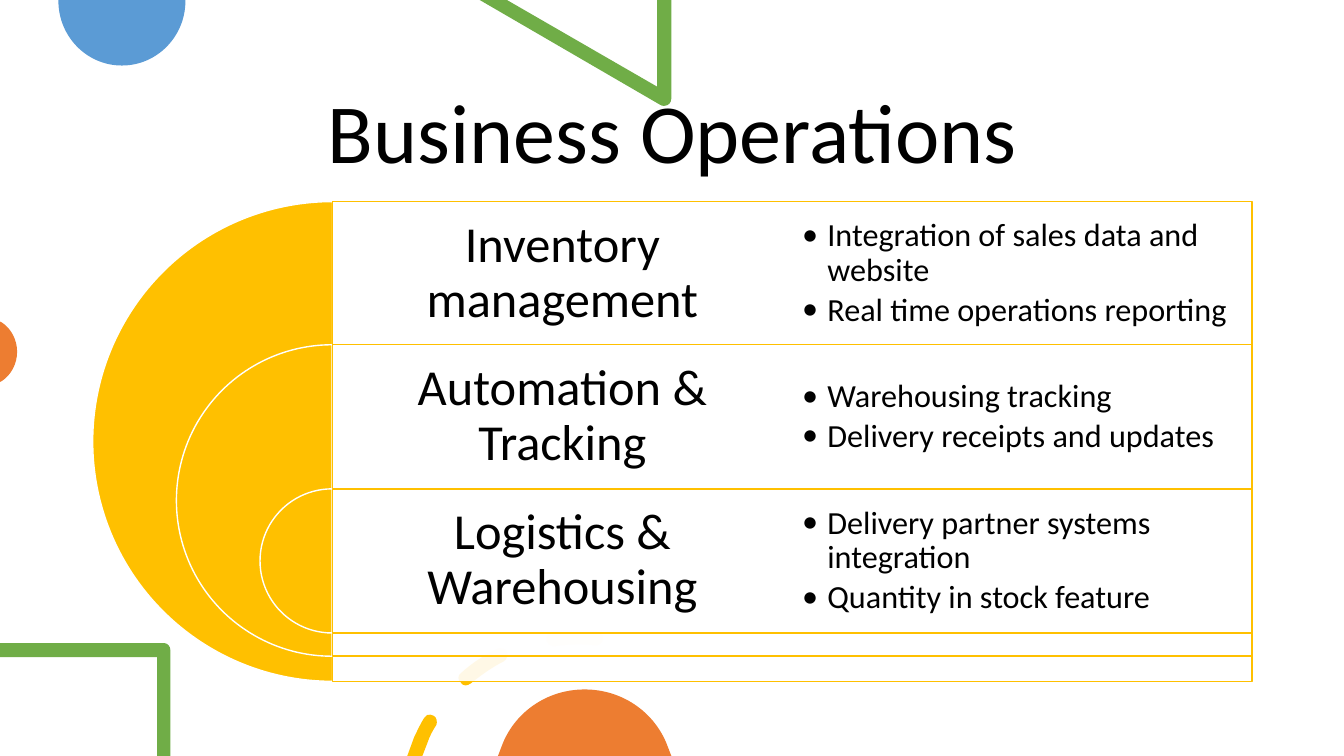
from lxml import etree
from pptx import Presentation
from pptx.dml.color import RGBColor
from pptx.enum.shapes import MSO_SHAPE
from pptx.enum.text import MSO_ANCHOR, PP_ALIGN
from pptx.oxml.ns import qn
from pptx.util import Pt

PX = 9144
BLACK = RGBColor(0x00, 0x00, 0x00)
WHITE = RGBColor(0xFF, 0xFF, 0xFF)
BLUE = RGBColor(0x5B, 0x9B, 0xD5)
GREEN = RGBColor(0x70, 0xAD, 0x47)
ORANGE = RGBColor(0xED, 0x7D, 0x31)
GOLD = RGBColor(0xFF, 0xC0, 0x00)
PIE, RECTANGLE = MSO_SHAPE.PIE, MSO_SHAPE.RECTANGLE
MIDDLE, BOTTOM = MSO_ANCHOR.MIDDLE, MSO_ANCHOR.BOTTOM
CENTER, LEFT = PP_ALIGN.CENTER, PP_ALIGN.LEFT

prs = Presentation()
prs.slide_width, prs.slide_height = Pt(960), Pt(540)
slide = prs.slides.add_slide(prs.slide_layouts[6])
shapes = slide.shapes


def add_outline(contours, color):
    builder = shapes.build_freeform(*contours[0][0], scale=PX)
    segments = []
    for i, (start, *steps) in enumerate(contours):
        if i:
            builder.move_to(*start)
        segments += steps
        builder.add_line_segments(
            [step[n:n + 2] for step in steps for n in range(0, len(step), 2)], close=True)
    outline = builder.convert_to_shape()
    straight = iter(list(outline._element.iter(qn("a:lnTo"))))
    for segment in segments:
        first = next(straight)
        if len(segment) == 6:
            curve = etree.Element(qn("a:cubicBezTo"))
            first.addprevious(curve)
            for line in (first, next(straight), next(straight)):
                curve.append(line[0])
                line.getparent().remove(line)
    outline.shadow.inherit = False
    outline.fill.solid()
    outline.fill.fore_color.rgb = color
    outline.line.fill.background()


def add_text(box, lines, size, anchor, align, insets, gap):
    frame = shapes.add_textbox(*(n * PX for n in box)).text_frame
    frame.word_wrap = True
    frame.vertical_anchor = anchor
    frame.margin_left = frame.margin_right = insets[0] * PX
    frame.margin_top = frame.margin_bottom = insets[1] * PX
    frame.text = "\n".join(lines)
    for paragraph in frame.paragraphs:
        paragraph.alignment = align
        paragraph.line_spacing = 0.9
        paragraph.space_after = Pt(gap)
        paragraph.font.name = "Calibri"
        paragraph.font.size = Pt(size)
        paragraph.font.color.rgb = BLACK
    return frame


decorations = [
    (BLUE, [[(184, 0), (58, 0), (58, 1), (58, 36, 86, 65, 121, 65), (156, 65, 184, 36, 184, 1)]]),
    (GREEN, [[(666, 0), (652, 0), (652, 86), (503, 0), (476, 0), (655, 104),
              (656, 105, 658, 105, 659, 105), (663, 105, 666, 102, 666, 98)]]),
    (ORANGE, [[(0, 319), (0, 379), (2, 378), (11, 372, 17, 361, 17, 349),
               (17, 337, 11, 326, 2, 320)]]),
    (GREEN, [[(163, 638), (0, 638), (0, 652), (156, 652), (156, 750), (169, 750),
              (169, 645), (169, 641, 166, 638, 163, 638)]]),
    (GOLD, [
        [(427, 709), (425, 708, 422, 710, 421, 712), (417, 718, 414, 725, 411, 731),
         (404, 750), (419, 750), (424, 737), (426, 731, 429, 725, 433, 719),
         (434, 716, 433, 711, 430, 710), (429, 709, 428, 709, 427, 709)],
        [(496, 643), (495, 643, 494, 643, 493, 644), (480, 650, 468, 658, 457, 668),
         (454, 670, 454, 675, 457, 677), (458, 679, 460, 680, 462, 680),
         (464, 680, 465, 679, 467, 678), (477, 670, 488, 662, 500, 656),
         (503, 654, 504, 650, 503, 647), (501, 644, 499, 643, 496, 643)],
        [(570, 625), (563, 625, 556, 626, 548, 627), (545, 627, 542, 631, 542, 635),
         (543, 638, 546, 641, 549, 641), (550, 641), (564, 639, 577, 639, 590, 640),
         (594, 641, 597, 638, 598, 635), (599, 631, 596, 627, 592, 627),
         (585, 626, 577, 625, 570, 625)],
    ]),
    (ORANGE, [[(580, 684), (543, 684, 512, 706, 499, 737), (494, 750), (666, 750),
               (661, 737), (648, 706, 617, 684, 580, 684)]]),
]
for color, contours in decorations:
    add_outline(contours, color)

add_text((92, 40, 1150, 145), ["Business Operations"], 60, BOTTOM, CENTER, (10, 5), 0)

operations = [
    (476, "Inventory management",
     ["Integration of sales data and website", "Real time operations reporting"]),
    (309, "Automation & Tracking",
     ["Warehousing tracking", "Delivery receipts and updates"]),
    (143, "Logistics & Warehousing",
     ["Delivery partner systems integration", "Quantity in stock feature"]),
]
axis, column, row = 330, 456, 143
tops = [200 + 285 * i // 2 for i in range(len(operations))]

for top, (size, heading, _) in zip(tops, operations):
    half_disc = shapes.add_shape(PIE, (axis - (size + 1) // 2) * PX, top * PX, size * PX, size * PX)
    half_disc.adjustments[0], half_disc.adjustments[1] = 54, 162
    panel = shapes.add_shape(RECTANGLE, axis * PX, top * PX, 2 * column * PX, size * PX)
    for part, fill, line in ((half_disc, GOLD, WHITE), (panel, WHITE, GOLD)):
        part.shadow.inherit = False
        part.fill.solid()
        part.fill.fore_color.rgb = fill
        part.line.color.rgb = line
        part.line.width = Pt(1)
    panel_color = panel.fill._xPr.find(qn("a:solidFill"))[0]
    etree.SubElement(panel_color, qn("a:alpha"), val="90000")
    add_text((axis, top, column, row), [heading], 36, MIDDLE, CENTER, (15, 15), 12.6)

for top, (_, _, details) in zip(tops, operations):
    frame = add_text((axis + column, top, column, row), details, 23, MIDDLE, LEFT, (10, 10), 3.45)
    for paragraph in frame.paragraphs:
        paragraph.level = 1
        properties = paragraph._p.get_or_add_pPr()
        properties.set("marL", str(25 * PX))
        properties.set("indent", str(-25 * PX))
        run_defaults = properties.find(qn("a:defRPr"))
        run_defaults.addprevious(etree.Element(qn("a:buFont"), typeface="Calibri"))
        run_defaults.addprevious(etree.Element(qn("a:buChar"), char="•"))

prs.save("out.pptx")
